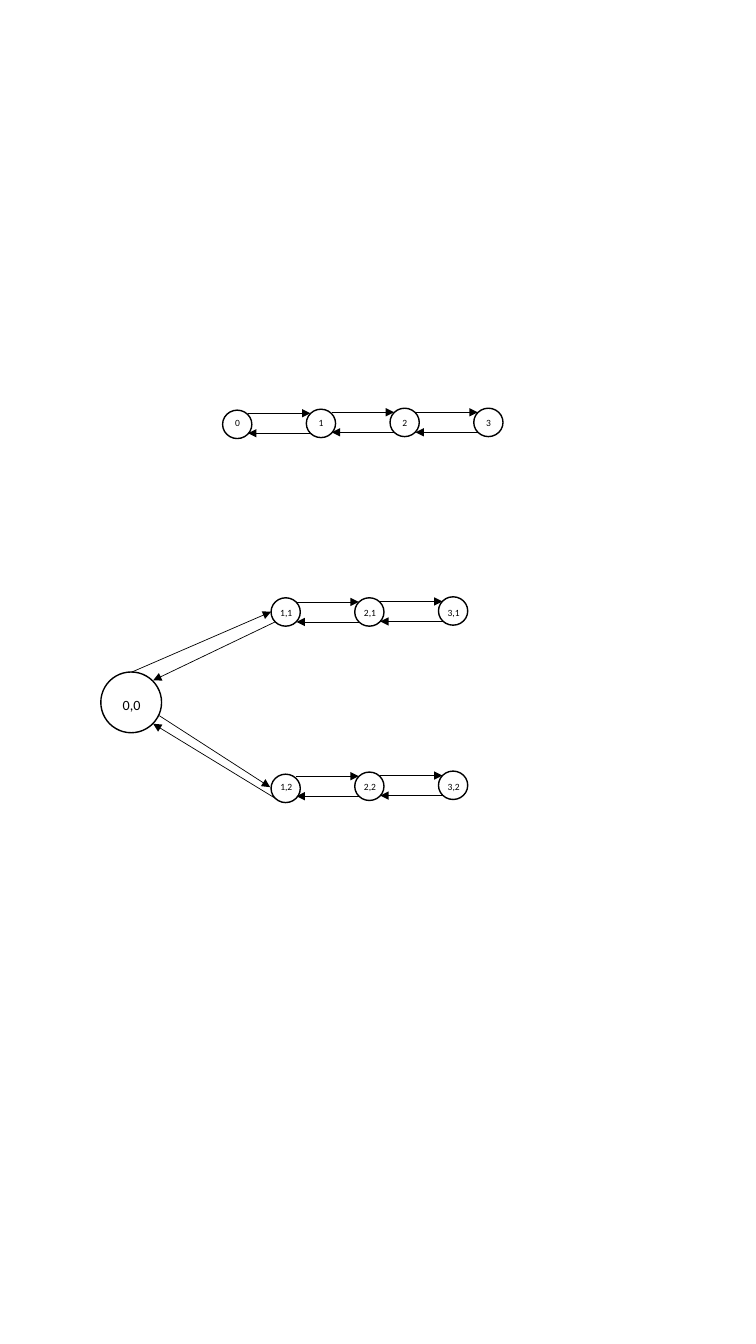
"""Draw a chain of four states and a branching chain of seven states."""
from lxml import etree
from pptx import Presentation
from pptx.dml.color import RGBColor
from pptx.enum.shapes import MSO_CONNECTOR, MSO_SHAPE
from pptx.enum.text import MSO_AUTO_SIZE
from pptx.oxml.ns import qn
from pptx.util import Pt

CIRCLE = MSO_SHAPE.FLOWCHART_CONNECTOR
STRAIGHT = MSO_CONNECTOR.STRAIGHT
GROW = MSO_AUTO_SIZE.SHAPE_TO_FIT_TEXT
STEP = 59.8


def color(value):
    return RGBColor.from_string(value)


prs = Presentation()
prs.slide_width, prs.slide_height = Pt(540), Pt(960)
s = prs.slides.add_slide(prs.slide_layouts[6])

chains = [
    {"left": 159, "tops": [293, 292.3, 291.6, 291.6], "arrows": [295.2, 294.5, 294.5],
     "names": ["0", "1", "2", "3"], "text": (1.8, 294), "width": 17},
    {"left": 193.6, "tops": [427, 427, 426.3], "arrows": [430, 429.6],
     "names": ["1,1", "2,1", "3,1"], "text": (-0.5, 429.8), "width": 28},
    {"left": 193.6, "tops": [553, 551.5, 550.8], "arrows": [554.4, 554],
     "names": ["1,2", "2,2", "3,2"], "text": (-0.5, 554.2), "width": 26},
]
circles = [(72, 480, 43.4, 43.4)]
labels = [("0,0", 80.6, 493.9, 31.7, 19.4, 10.1)]
arrows = [
    (93.8, 480.2, 193.6, 437),
    (196.6, 444.2, 109.4, 486),
    (113.8, 511.2, 193, 562.3),
    (196.6, 570.2, 109.4, 517),
]
for chain in chains:
    dx, text_top = chain["text"]
    for i, (name, top) in enumerate(zip(chain["names"], chain["tops"])):
        x = chain["left"] + i * STEP
        circles.append((x, top, 20.9, 20.3))
        labels.append((name, x + dx, text_top, chain["width"], 15.3, 6.8))
    for i, y in enumerate(chain["arrows"]):
        start = chain["left"] + i * STEP + 18.2
        end = start + 44.5
        arrows += [(start, y, end, y), (end, y + 14.3, start, y + 14.3)]

for box in circles:
    sp = s.shapes.add_shape(CIRCLE, *map(Pt, box))
    sp.shadow.inherit = False
    sp.fill.solid()
    sp.fill.fore_color.rgb = color("FFFFFF")
    sp.line.color.rgb = color("000000")
    sp.line.width = Pt(1)

for ends in arrows:
    sp = s.shapes.add_connector(STRAIGHT, *map(Pt, ends))
    sp.line.color.rgb = color("000000")
    sp.line.width = Pt(0.5)
    ln = sp.line._get_or_add_ln()
    etree.SubElement(ln, qn("a:tailEnd"), type="triangle")
    etree.SubElement(sp._element.spPr, qn("a:effectLst"))

for name, x, y, w, h, size in labels:
    tf = s.shapes.add_textbox(Pt(x), Pt(y), Pt(w), Pt(h)).text_frame
    tf.word_wrap = True
    tf.auto_size = GROW
    r = tf.paragraphs[0].add_run()
    r.text = name
    for key, value in {"name": "Calibri", "size": Pt(size)}.items():
        setattr(r.font, key, value)
    r.font.color.rgb = color("000000")

prs.save("out.pptx")
